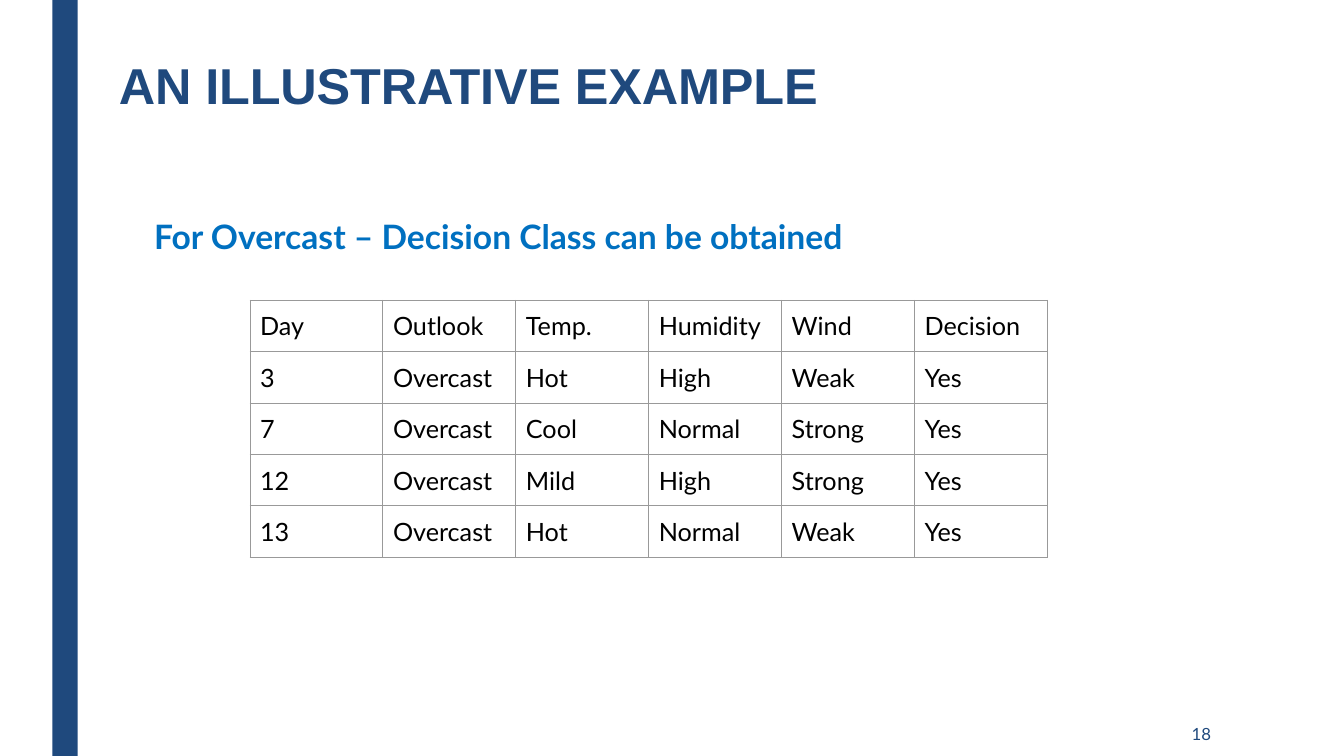
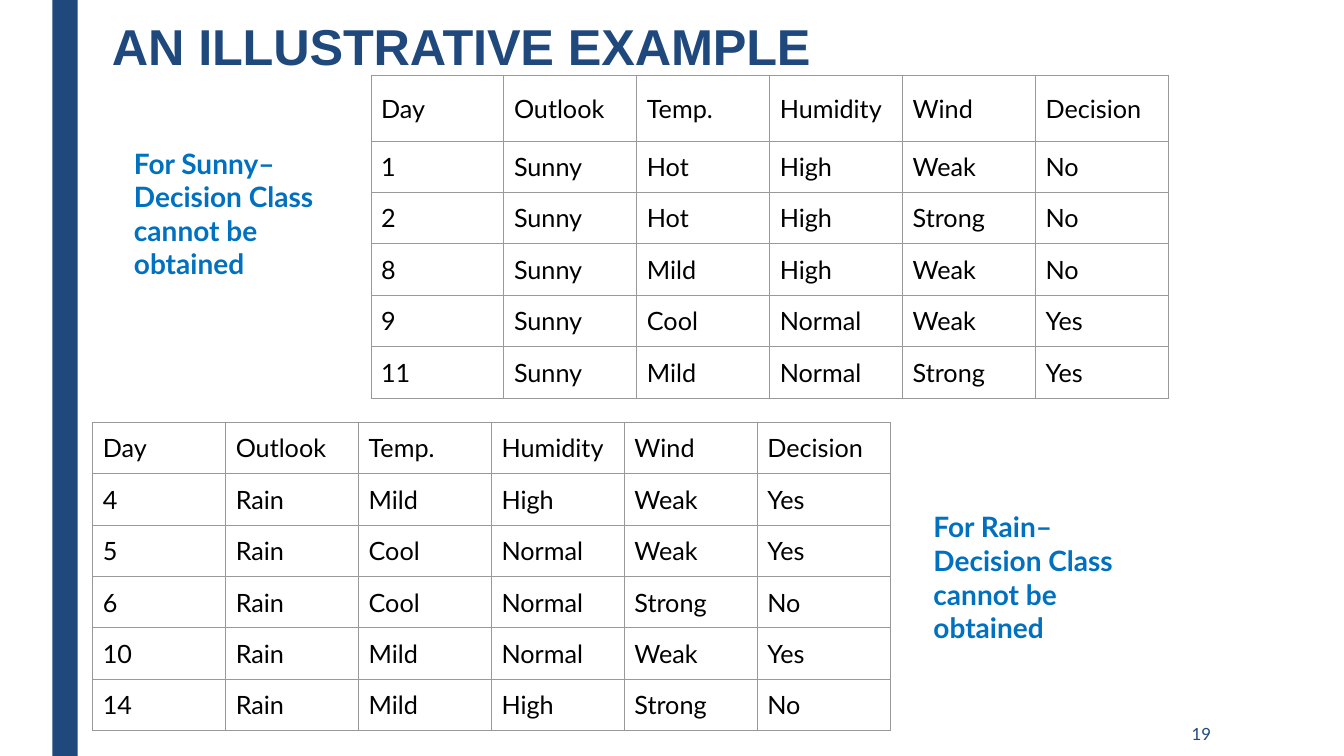
"""Build two slides that split a weather table by outlook for a decision tree."""
import pptx
import pptx.util
import pptx.dml.color
import pptx.enum.shapes
import pptx.enum.text
import pptx.oxml
import pptx.oxml.ns

Inches = pptx.util.Inches
Anchor = pptx.enum.text.MSO_ANCHOR
Align = pptx.enum.text.PP_ALIGN
Fit = pptx.enum.text.MSO_AUTO_SIZE

COLORS = {"navy": "1F497D", "blue": "0070C0", "text": "000000", "grid": "999999", "cell": "FFFFFF"}
HEADS = ["Day", "Outlook", "Temp.", "Humidity", "Wind", "Decision"]
WIDTH, ROW, PAD = 7.91, 0.51, 0.1

SLIDES = [
    {
        "page": "18",
        "title": (1.18, 0.53),
        "notes": [("For Overcast – Decision Class can be obtained", 24, (1.43, 2.09, 7.26, 0.5))],
        "tables": [
            ("Overcast", 2.48, 2.98, ROW, [
                ("3", "Hot", "High", "Weak", "Yes"),
                ("7", "Cool", "Normal", "Strong", "Yes"),
                ("12", "Mild", "High", "Strong", "Yes"),
                ("13", "Hot", "Normal", "Weak", "Yes"),
            ]),
        ],
    },
    {
        "page": "19",
        "title": (1.11, 0.14),
        "notes": [
            ("For Sunny– Decision Class cannot be obtained", 20, (1.23, 1.4, 2.29, 1.45)),
            ("For Rain– Decision Class cannot be obtained", 20, (9.16, 5.01, 2.29, 1.45)),
        ],
        "tables": [
            ("Sunny", 3.68, 0.75, 0.65, [
                ("1", "Hot", "High", "Weak", "No"),
                ("2", "Hot", "High", "Strong", "No"),
                ("8", "Mild", "High", "Weak", "No"),
                ("9", "Cool", "Normal", "Weak", "Yes"),
                ("11", "Mild", "Normal", "Strong", "Yes"),
            ]),
            ("Rain", 0.92, 4.19, ROW, [
                ("4", "Mild", "High", "Weak", "Yes"),
                ("5", "Cool", "Normal", "Weak", "Yes"),
                ("6", "Cool", "Normal", "Strong", "No"),
                ("10", "Mild", "Normal", "Weak", "Yes"),
                ("14", "Mild", "High", "Strong", "No"),
            ]),
        ],
    },
]


def write(frame, text, size, color, bold=False, font="Lato", align=Align.LEFT):
    """Fill a text frame with one styled paragraph and return it."""
    frame.text = text
    frame.word_wrap = True
    para = frame.paragraphs[0]
    para.alignment = align
    style = para.runs[0].font
    style.name, style.size, style.bold = font, pptx.util.Pt(size), bold
    style.color.rgb = pptx.dml.color.RGBColor.from_string(COLORS[color])
    return para


def border(cell):
    """Draw a thin line on each side of a table cell."""
    props = cell._tc.get_or_add_tcPr()
    for side in ("lnL", "lnR", "lnT", "lnB"):
        props.append(pptx.oxml.parse_xml(
            f'<a:{side} {pptx.oxml.ns.nsdecls("a")} w="{pptx.util.Pt(0.75)}">'
            f'<a:solidFill><a:srgbClr val="{COLORS["grid"]}"/></a:solidFill></a:{side}>'))


deck = pptx.Presentation()
deck.slide_width, deck.slide_height = Inches(13.33), Inches(7.5)
layout = deck.slide_layouts[5]

for data in SLIDES:
    slide = deck.slides.add_slide(layout)

    band = slide.shapes.add_shape(
        pptx.enum.shapes.MSO_SHAPE.RECTANGLE, Inches(0.52), 0, Inches(0.25), deck.slide_height)
    band.shadow.inherit = False
    band.fill.solid()
    band.fill.fore_color.rgb = pptx.dml.color.RGBColor.from_string(COLORS["navy"])
    band.line.fill.background()

    title = slide.shapes.title
    title.left, title.top = [Inches(n) for n in data["title"]]
    title.width, title.height = Inches(10.5), Inches(0.62)
    frame = title.text_frame
    frame.margin_left = frame.margin_right = frame.margin_bottom = 0
    frame.margin_top = Inches(0.01)
    frame.vertical_anchor = Anchor.TOP
    frame.auto_size = Fit.SHAPE_TO_FIT_TEXT
    para = write(frame, "AN ILLUSTRATIVE EXAMPLE", 36, "navy", True, "Arial")
    para.space_before = pptx.util.Pt(0.9)
    para.runs[0].font._element.set("spc", "-10")

    for name, left, top, head, days in data["tables"]:
        rows = [HEADS] + [(day, name, *rest) for day, *rest in days]
        table = slide.shapes.add_table(
            len(rows), len(HEADS), Inches(left), Inches(top),
            Inches(WIDTH), Inches(ROW * len(rows))).table
        table.first_row = table.horz_banding = False
        table.rows[0].height = Inches(head)
        for r, row in enumerate(rows):
            for c, text in enumerate(row):
                cell = table.cell(r, c)
                border(cell)
                cell.fill.solid()
                cell.fill.fore_color.rgb = pptx.dml.color.RGBColor.from_string(COLORS["cell"])
                cell.margin_left = cell.margin_right = Inches(PAD)
                cell.margin_top = cell.margin_bottom = Inches(PAD)
                cell.vertical_anchor = Anchor.MIDDLE
                write(cell.text_frame, text, 18, "text")

    for text, size, place in data["notes"]:
        note = slide.shapes.add_textbox(*[Inches(n) for n in place]).text_frame
        write(note, text, size, "blue", True)
        note.auto_size = Fit.SHAPE_TO_FIT_TEXT

    page = slide.shapes.add_textbox(Inches(10.36), Inches(7.06), Inches(1.75), Inches(0.44)).text_frame
    page.vertical_anchor = Anchor.MIDDLE
    write(page, data["page"], 12, "navy", align=Align.RIGHT)

deck.save("out.pptx")
